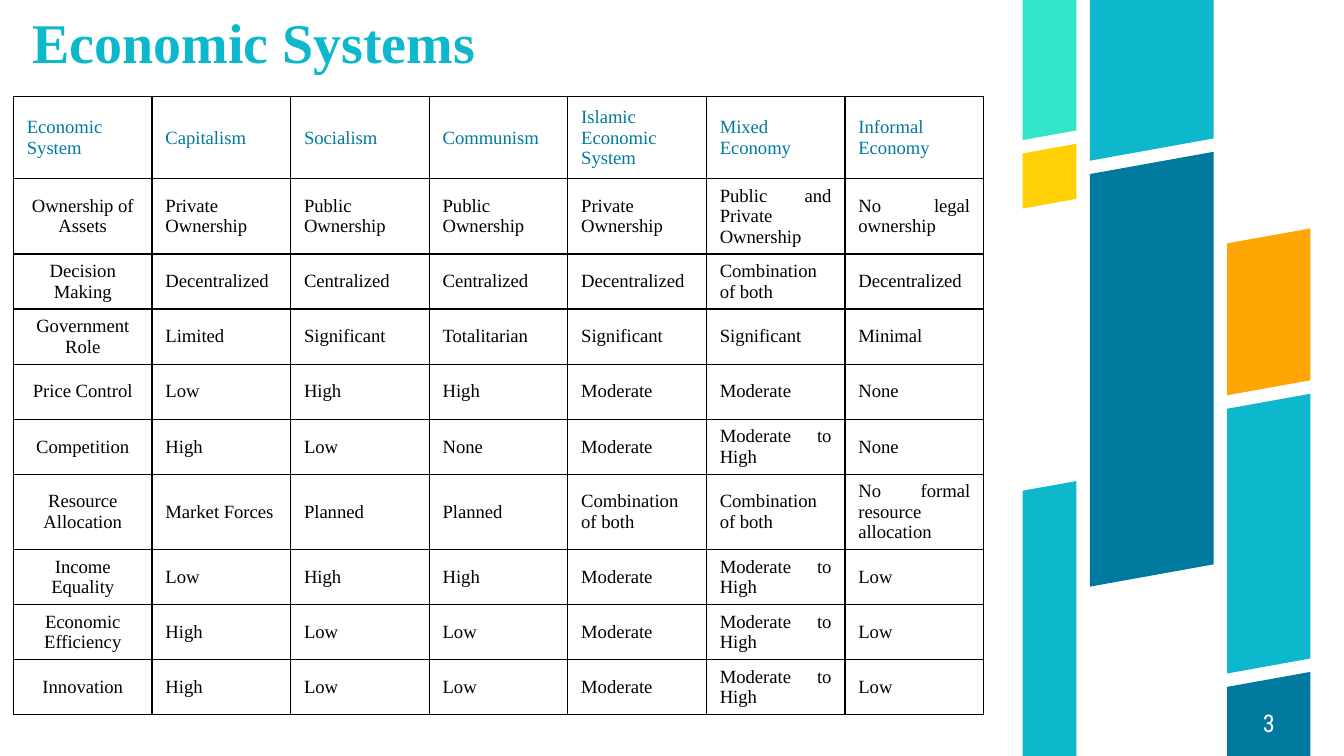
from dataclasses import dataclass

from lxml import etree
from pptx import Presentation
from pptx.dml.color import RGBColor
from pptx.enum.text import MSO_ANCHOR, MSO_AUTO_SIZE, PP_ALIGN
from pptx.oxml.ns import qn
from pptx.util import Inches, Pt

LEFT, CENTER, JUSTIFY = PP_ALIGN.LEFT, PP_ALIGN.CENTER, PP_ALIGN.JUSTIFY
MIDDLE, BOTTOM = MSO_ANCHOR.MIDDLE, MSO_ANCHOR.BOTTOM
NO_AUTOFIT = MSO_AUTO_SIZE.NONE

SLIDE_WIDTH = 10
SLIDE_HEIGHT = SLIDE_WIDTH * 9 / 16
BAND_SLOPE = 0.18
TABLE_LEFT, TABLE_WIDTH = 0.1, 7.22


@dataclass(frozen=True)
class Theme:
    cyan: str = "0DB8CC"
    blue: str = "00799E"
    mint: str = "32E4C8"
    yellow: str = "FFD104"
    orange: str = "FFA604"
    black: str = "000000"
    white: str = "FFFFFF"
    serif: str = "Times New Roman"
    condensed: str = "Roboto Condensed"
    title_size: float = 30
    number_size: float = 13
    table_size: float = 10
    border_width: float = 0.75


@dataclass(frozen=True)
class Band:
    """A slanted band; top and bottom are measured on its right edge."""
    left: float
    width: float
    top: float
    bottom: float
    color: str


@dataclass(frozen=True)
class TextStyle:
    font: str
    size: float
    color: str
    align: PP_ALIGN
    bold: bool = False


THEME = Theme()
TITLE = TextStyle(THEME.serif, THEME.title_size, THEME.cyan, LEFT, True)
NUMBER = TextStyle(THEME.condensed, THEME.number_size, THEME.white, CENTER)
HEADER = TextStyle(THEME.serif, THEME.table_size, THEME.blue, LEFT)
ROW_LABEL = TextStyle(THEME.serif, THEME.table_size, THEME.black, CENTER)
ROW_VALUE = TextStyle(THEME.serif, THEME.table_size, THEME.black, JUSTIFY)

BANDS = [
    Band(7.61, 0.4, 3.58, SLIDE_HEIGHT, THEME.cyan),
    Band(7.61, 0.4, 1.07, 1.48, THEME.yellow),
    Band(7.61, 0.4, 0, 0.97, THEME.mint),
    Band(8.11, 0.92, 1.13, 4.2, THEME.blue),
    Band(8.11, 0.92, 0, 1.03, THEME.cyan),
    Band(9.13, 0.62, 1.7, 2.83, THEME.orange),
    Band(9.13, 0.62, 5, SLIDE_HEIGHT, THEME.blue),
    Band(9.13, 0.62, 2.93, 4.9, THEME.cyan),
]

SYSTEMS = [["Economic System", "Capitalism", "Socialism", "Communism",
            "Islamic Economic System", "Mixed Economy", "Informal Economy"]]
FEATURES = [
    ["Ownership of Assets", "Private Ownership", "Public Ownership", "Public Ownership",
     "Private Ownership", "Public and Private Ownership", "No legal ownership"],
    ["Decision Making", "Decentralized", "Centralized", "Centralized",
     "Decentralized", "Combination of both", "Decentralized"],
    ["Government Role", "Limited", "Significant", "Totalitarian",
     "Significant", "Significant", "Minimal"],
    ["Price Control", "Low", "High", "High", "Moderate", "Moderate", "None"],
    ["Competition", "High", "Low", "None", "Moderate", "Moderate to High", "None"],
    ["Resource Allocation", "Market Forces", "Planned", "Planned",
     "Combination of both", "Combination of both", "No formal resource allocation"],
    ["Income Equality", "Low", "High", "High", "Moderate", "Moderate to High", "Low"],
    ["Economic Efficiency", "High", "Low", "Low", "Moderate", "Moderate to High", "Low"],
    ["Innovation", "High", "Low", "Low", "Moderate", "Moderate to High", "Low"],
]


def write_text(frame, text: str, style: TextStyle) -> None:
    frame.text = text
    para = frame.paragraphs[0]
    para.alignment = style.align
    for span in para.runs:
        span.font.name = style.font
        span.font.size = Pt(style.size)
        span.font.bold = style.bold
        span.font.color.rgb = RGBColor.from_string(style.color)


def prepare_frame(frame, anchor: MSO_ANCHOR) -> None:
    frame.word_wrap = True
    frame.auto_size = NO_AUTOFIT
    frame.vertical_anchor = anchor
    frame.margin_left = frame.margin_right = 0
    frame.margin_top = frame.margin_bottom = 0


def draw_band(page, band: Band) -> None:
    """Slant the band's ends, except where it meets the edge of the slide."""
    drop = BAND_SLOPE * band.width
    right = band.left + band.width
    left_top = band.top + drop if band.top > 0 else 0
    left_bottom = band.bottom + drop if band.bottom < SLIDE_HEIGHT else SLIDE_HEIGHT
    corners = [(right, band.top), (right, band.bottom),
               (band.left, left_bottom), (band.left, left_top)]
    points = [(Inches(x), Inches(y)) for x, y in corners]
    builder = page.shapes.build_freeform(*points[0])
    builder.add_line_segments(points[1:], close=True)
    shape = builder.convert_to_shape()
    shape.shadow.inherit = False
    shape.fill.solid()
    shape.fill.fore_color.rgb = RGBColor.from_string(band.color)
    shape.line.fill.background()


def add_borders(cell) -> None:
    properties = cell._tc.get_or_add_tcPr()
    for side in ("a:lnL", "a:lnR", "a:lnT", "a:lnB"):
        line = etree.SubElement(properties, qn(side), w=str(Pt(THEME.border_width)))
        fill = etree.SubElement(line, qn("a:solidFill"))
        etree.SubElement(fill, qn("a:srgbClr"), val=THEME.black)


def draw_table(page, rows: list[list[str]], top: float, row_height: float,
               label_style: TextStyle, value_style: TextStyle) -> None:
    columns = len(rows[0])
    table = page.shapes.add_table(
        len(rows), columns, Inches(TABLE_LEFT), Inches(top),
        Inches(TABLE_WIDTH), Inches(row_height * len(rows))).table
    table.first_row = table.horz_banding = False
    for column in table.columns:
        column.width = Inches(TABLE_WIDTH / columns)
    for row, texts in zip(table.rows, rows):
        row.height = Inches(row_height)
        for index, (cell, text) in enumerate(zip(row.cells, texts)):
            write_text(cell.text_frame, text, value_style if index else label_style)
            cell.vertical_anchor = MIDDLE
            add_borders(cell)
            cell.fill.background()


def draw_title(page) -> None:
    title = page.shapes.title
    title.left, title.top = Inches(0.24), Inches(0.13)
    title.width, title.height = Inches(6.68), Inches(0.43)
    prepare_frame(title.text_frame, BOTTOM)
    write_text(title.text_frame, "Economic Systems", TITLE)
    title.text_frame.paragraphs[0].line_spacing = 0.9


def draw_page_number(page) -> None:
    box = page.shapes.add_textbox(Inches(9.13), Inches(5.13), Inches(0.62), Inches(0.5))
    prepare_frame(box.text_frame, MIDDLE)
    write_text(box.text_frame, "3", NUMBER)


def main() -> None:
    deck = Presentation()
    deck.slide_width, deck.slide_height = Inches(SLIDE_WIDTH), Inches(SLIDE_HEIGHT)
    page = deck.slides.add_slide(deck.slide_layouts.get_by_name("Title Only"))
    for band in BANDS:
        draw_band(page, band)
    draw_title(page)
    draw_page_number(page)
    draw_table(page, SYSTEMS, 0.72, 0.61, HEADER, HEADER)
    draw_table(page, FEATURES, 1.33, 0.41, ROW_LABEL, ROW_VALUE)
    deck.save("out.pptx")


if __name__ == "__main__":
    main()
